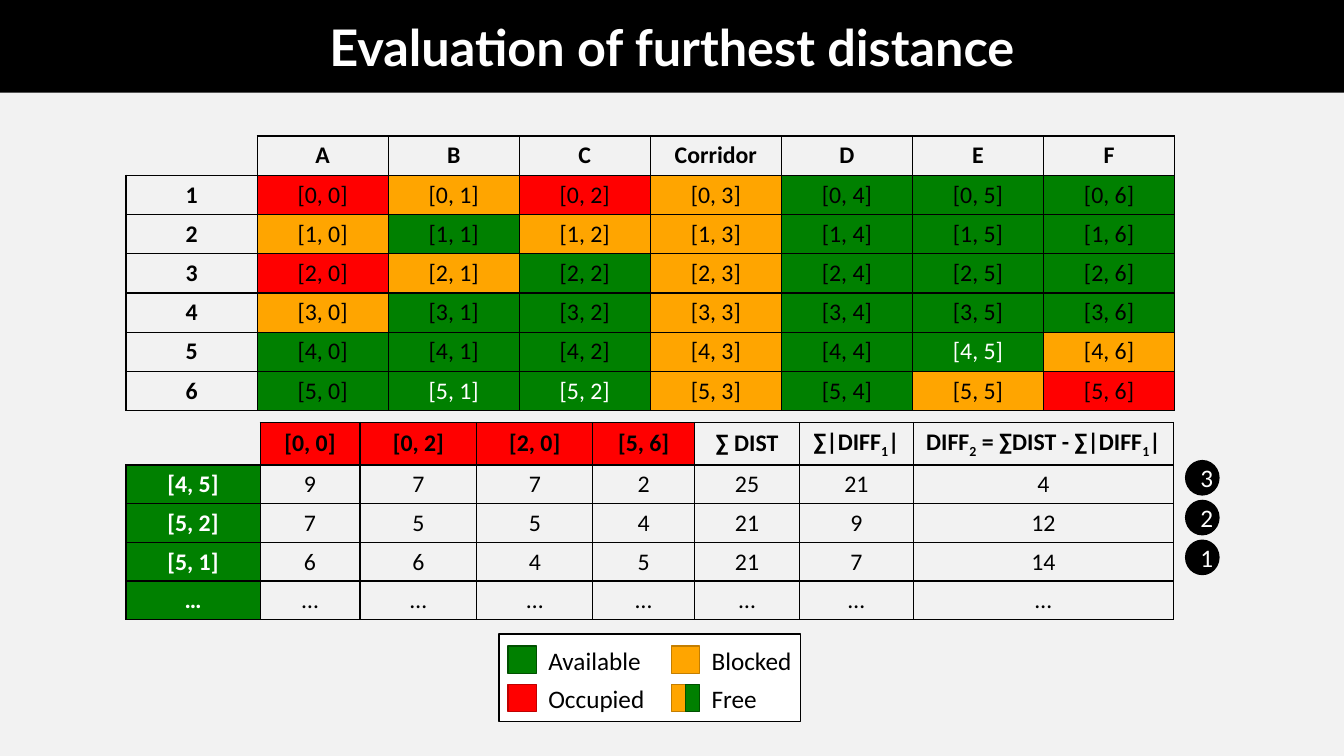
import pptx
import pptx.util
import pptx.dml.color
import pptx.enum.shapes
import pptx.enum.text
import pptx.oxml.ns
import lxml.etree

Inches = pptx.util.Inches
Pt = pptx.util.Pt
SHAPES = pptx.enum.shapes.MSO_SHAPE
CENTER = pptx.enum.text.PP_ALIGN.CENTER
MIDDLE = pptx.enum.text.MSO_ANCHOR.MIDDLE

COLORS = {
    "background": "F2F2F2", "black": "000000", "white": "FFFFFF",
    "available": "008000", "available edge": "005000",
    "occupied": "FF0000", "occupied edge": "C00000",
    "blocked": "FFA500", "blocked edge": "C47E00",
}
STATES = {"G": "available", "R": "occupied", "O": "blocked"}
SEATS = ["ROROGGG", "OGOOGGG", "ROGOGGG", "OGGOGGG", "GGGOGGO", "GGGOGOR"]
CANDIDATES = ["[4, 5]", "[5, 2]", "[5, 1]"]
DISTANCES = [
    ["9", "7", "7", "2", "25", "21", "4"],
    ["7", "5", "5", "4", "21", "9", "12"],
    ["6", "6", "4", "5", "21", "7", "14"],
    ["…"] * 7,
]


def rgb(name):
    return pptx.dml.color.RGBColor.from_string(COLORS[name])


def format_run(run, size, color="black", bold=False, font="Calibri"):
    run.font.size = Pt(size)
    run.font.name = font
    run.font.bold = bold
    run.font.color.rgb = rgb(color)


def set_borders(cell, visible_sides):
    properties = cell._tc.get_or_add_tcPr()
    for side in "LRTB":
        line = lxml.etree.SubElement(properties, pptx.oxml.ns.qn(f"a:ln{side}"), w=str(Pt(1)))
        if side in visible_sides:
            fill = lxml.etree.SubElement(line, pptx.oxml.ns.qn("a:solidFill"))
            lxml.etree.SubElement(fill, pptx.oxml.ns.qn("a:srgbClr"), val=COLORS["black"])
        else:
            lxml.etree.SubElement(line, pptx.oxml.ns.qn("a:noFill"))


def fill_cell(cell, text, fill=None, color="black", bold=False):
    set_borders(cell, "LRTB" if text else "RB")
    if fill:
        cell.fill.solid()
        cell.fill.fore_color.rgb = rgb(fill)
    else:
        cell.fill.background()
    cell.vertical_anchor = MIDDLE
    if not text:
        cell.margin_top = cell.margin_bottom = 0
        return
    paragraph = cell.text_frame.paragraphs[0]
    paragraph.alignment = CENTER
    for index, part in enumerate(text.split("~")):
        run = paragraph.add_run()
        run.text = part
        format_run(run, 17, color, bold)
        if index % 2:
            run._r.get_or_add_rPr().set("baseline", "-25000")


def add_grid(slide, left, top, widths, row_height, rows):
    frame = slide.shapes.add_table(len(rows), len(widths), Inches(left), Inches(top),
                                   Inches(sum(widths)), Inches(row_height * len(rows)))
    table = frame.table
    table.first_row = table.horz_banding = False
    for column, width in zip(table.columns, widths):
        column.width = Inches(width)
    for row_index, row in enumerate(rows):
        table.rows[row_index].height = Inches(row_height)
        for column_index, content in enumerate(row):
            fill_cell(table.cell(row_index, column_index), **content)


def add_box(slide, kind, left, top, width, height, fill, line):
    shape = slide.shapes.add_shape(kind, Inches(left), Inches(top), Inches(width), Inches(height))
    shape.shadow.inherit = False
    shape.fill.solid()
    shape.fill.fore_color.rgb = rgb(fill)
    shape.line.color.rgb = rgb(line)
    shape.line.width = Pt(1)
    return shape


def add_title(slide, left, top, width, height):
    title = slide.shapes.title
    title.left, title.top = Inches(left), Inches(top)
    title.width, title.height = Inches(width), Inches(height)
    title.fill.solid()
    title.fill.fore_color.rgb = rgb("black")
    title.text_frame.text = "Evaluation of furthest distance"
    title.text_frame.vertical_anchor = MIDDLE
    paragraph = title.text_frame.paragraphs[0]
    paragraph.alignment = CENTER
    format_run(paragraph.runs[0], 36, "white", True, "Lato")


def add_seat_map(slide, left, top, column_width, row_height):
    headings = ["", "A", "B", "C", "Corridor", "D", "E", "F"]
    rows = [[dict(text=heading, bold=True) for heading in headings]]
    for row_index, states in enumerate(SEATS):
        row = [dict(text=str(row_index + 1), bold=True)]
        for column_index, state in enumerate(states):
            seat = f"[{row_index}, {column_index}]"
            color = "white" if seat in CANDIDATES else "black"
            row.append(dict(text=seat, fill=STATES[state], color=color))
        rows.append(row)
    add_grid(slide, left, top, [column_width] * len(headings), row_height, rows)


def add_distance_table(slide, left, top, widths, row_height):
    occupied = ["[0, 0]", "[0, 2]", "[2, 0]", "[5, 6]"]
    sums = ["∑ DIST", "∑|DIFF~1~|", "DIFF~2~ = ∑DIST - ∑|DIFF~1~|"]
    header = [dict(text="")]
    header += [dict(text=seat, fill="occupied", bold=True) for seat in occupied]
    header += [dict(text=label, bold=True) for label in sums]
    rows = [header]
    for candidate, values in zip(CANDIDATES + ["…"], DISTANCES):
        label = dict(text=candidate, fill="available", color="white", bold=True)
        rows.append([label] + [dict(text=value) for value in values])
    add_grid(slide, left, top, widths, row_height, rows)


def add_ranks(slide, left, top, pitch):
    for index, rank in enumerate("321"):
        circle = add_box(slide, SHAPES.OVAL, left, top + index * pitch, 0.33, 0.34, "black", "black")
        circle.text_frame.text = rank
        circle.text_frame.vertical_anchor = MIDDLE
        paragraph = circle.text_frame.paragraphs[0]
        paragraph.alignment = CENTER
        format_run(paragraph.runs[0], 18, "white")


def add_legend(slide, left, top, width, height):
    add_box(slide, SHAPES.RECTANGLE, left, top, width, height, "white", "black")
    entries = [
        ("Available", ["available"], 0.09, 0.12, 1.13),
        ("Occupied", ["occupied"], 0.09, 0.5, 1.17),
        ("Blocked", ["blocked"], 1.71, 0.12, 1),
        ("Free", ["blocked", "available"], 1.71, 0.5, 0.65),
    ]
    for label, states, x, y, label_width in entries:
        swatch_width = 0.28 / len(states)
        for index, state in enumerate(states):
            add_box(slide, SHAPES.RECTANGLE, left + x + index * swatch_width, top + y,
                    swatch_width, 0.27, state, state + " edge")
        text_box = slide.shapes.add_textbox(Inches(left + x + 0.3), Inches(top + y - 0.06),
                                            Inches(label_width), Inches(0.4))
        text_frame = text_box.text_frame
        text_frame.text = label
        text_frame.word_wrap = False
        text_frame.auto_size = pptx.enum.text.MSO_AUTO_SIZE.SHAPE_TO_FIT_TEXT
        format_run(text_frame.paragraphs[0].runs[0], 18)


def main():
    presentation = pptx.Presentation()
    presentation.slide_width = Inches(13.33)
    presentation.slide_height = Inches(7.5)
    slide = presentation.slides.add_slide(presentation.slide_layouts[5])
    slide.background.fill.solid()
    slide.background.fill.fore_color.rgb = rgb("background")
    add_title(slide, 0, 0, 13.33, 0.92)
    add_seat_map(slide, 1.25, 1.35, 1.3, 0.37)
    add_legend(slide, 4.95, 6.29, 2.99, 0.87)
    add_distance_table(slide, 1.25, 4.19, [1.33, 0.99, 1.16, 1.15, 1.01, 1.04, 1.13, 2.58], 0.36)
    add_ranks(slide, 11.76, 4.57, 0.395)
    presentation.save("out.pptx")


if __name__ == "__main__":
    main()
